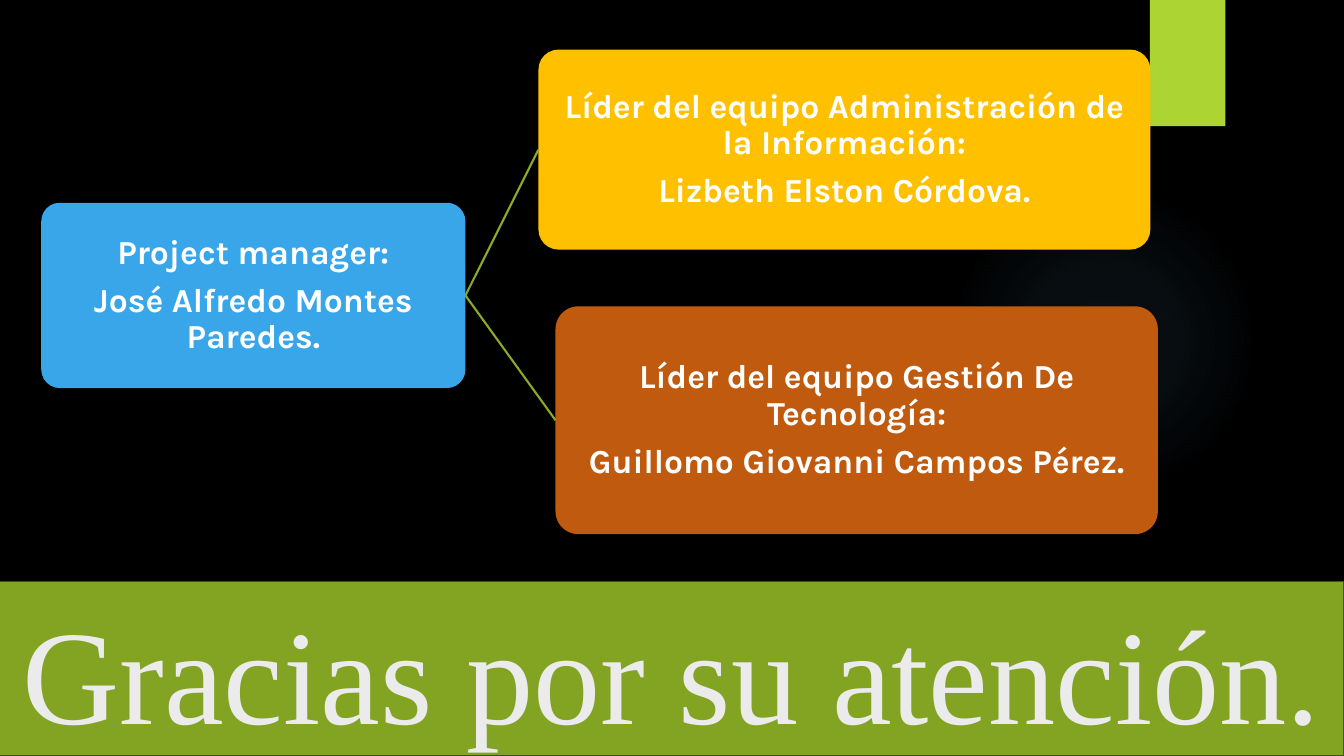
from dataclasses import dataclass

from lxml.etree import SubElement
from pptx import Presentation
from pptx.dml.color import RGBColor
from pptx.enum.shapes import MSO_CONNECTOR, MSO_SHAPE
from pptx.enum.text import MSO_ANCHOR, PP_ALIGN
from pptx.oxml import parse_xml
from pptx.oxml.ns import nsdecls, qn
from pptx.shapes.autoshape import Shape
from pptx.slide import Slide
from pptx.util import Cm, Pt

RIGHT_SIDE, LEFT_SIDE = 3, 1
GLOW_COLOR = "7AC4F0"
GLOW_STOPS = ((0, 7), (36, 6), (69, 0))  # position and opacity, in percent


@dataclass(frozen=True)
class Box:
    left: float
    top: float
    width: float
    height: float


@dataclass(frozen=True)
class Member:
    box: Box
    fill: str
    role: str
    person: str
    shadow: bool = False


MANAGER = Member(Box(1.04, 5.11, 10.69, 4.67), "38A6E9",
                 "Project manager:", "José Alfredo Montes Paredes.", shadow=True)
LEADERS = (
    Member(Box(13.57, 1.25, 15.42, 5.04), "FFC000",
           "Líder del equipo Administración de la Información:", "Lizbeth Elston Córdova."),
    Member(Box(14.0, 7.72, 15.18, 5.74), "C05A0E",
           "Líder del equipo Gestión De Tecnología:", "Guillomo Giovanni Campos Pérez."),
)
MEMBER_FONT = {"name": "Karla", "size": Pt(24), "bold": True}
TITLE_FONT = {"name": "Times New Roman", "size": Pt(96)}
MEMBER_FRAME = {"word_wrap": True, "vertical_anchor": MSO_ANCHOR.MIDDLE,
                "margin_left": Cm(0.06), "margin_right": Cm(0.06),
                "margin_top": Cm(0.06), "margin_bottom": Cm(0.06)}
TITLE_FRAME = {"word_wrap": True, "vertical_anchor": MSO_ANCHOR.BOTTOM}
MEMBER_PARAGRAPH = {"alignment": PP_ALIGN.CENTER, "line_spacing": 0.9, "space_after": Pt(8.4)}
TITLE_PARAGRAPH = {"alignment": PP_ALIGN.CENTER}


def color(value: str) -> RGBColor:
    return RGBColor.from_string(value)


def set_attributes(target: object, values: dict) -> None:
    for name, value in values.items():
        setattr(target, name, value)


def add_box(slide: Slide, kind: MSO_SHAPE, box: Box, fill: str) -> Shape:
    shape = slide.shapes.add_shape(
        kind, Cm(box.left), Cm(box.top), Cm(box.width), Cm(box.height))
    shape.shadow.inherit = False
    shape.fill.solid()
    shape.fill.fore_color.rgb = color(fill)
    shape.line.fill.background()
    return shape


def add_shadow(shape: Shape) -> None:
    effects = shape.element.spPr.find(qn("a:effectLst"))
    effects.append(parse_xml(
        f'<a:outerShdw {nsdecls("a")} blurRad="{Pt(3)}" dist="{Pt(2)}" dir="5400000" '
        'rotWithShape="0"><a:srgbClr val="000000"><a:alpha val="45000"/></a:srgbClr>'
        '</a:outerShdw>'))


def add_glow(slide: Slide, box: Box) -> None:
    """Add a circle whose faint colour fades out from the centre."""
    shape = add_box(slide, MSO_SHAPE.OVAL, box, GLOW_COLOR)
    stops = "".join(
        f'<a:gs pos="{position * 1000}"><a:srgbClr val="{GLOW_COLOR}">'
        f'<a:alpha val="{opacity * 1000}"/></a:srgbClr></a:gs>'
        for position, opacity in GLOW_STOPS)
    properties = shape.element.spPr
    properties.replace(properties.find(qn("a:solidFill")), parse_xml(
        f'<a:gradFill {nsdecls("a")}><a:gsLst>{stops}</a:gsLst><a:path path="circle">'
        '<a:fillToRect l="50000" t="50000" r="50000" b="50000"/></a:path></a:gradFill>'))


def write(shape: Shape, lines: tuple[str, ...], font: dict, text_color: str,
          frame_format: dict, paragraph_format: dict) -> None:
    frame = shape.text_frame
    set_attributes(frame, frame_format)
    frame.text = "\n".join(lines)
    for paragraph in frame.paragraphs:
        set_attributes(paragraph, paragraph_format)
        for run in paragraph.runs:
            set_attributes(run.font, font)
            run.font.color.rgb = color(text_color)


def add_member(slide: Slide, member: Member) -> Shape:
    shape = add_box(slide, MSO_SHAPE.ROUNDED_RECTANGLE, member.box, member.fill)
    shape.adjustments[0] = 0.1
    if member.shadow:
        add_shadow(shape)
    write(shape, (member.role, member.person), MEMBER_FONT, "FFFFFF",
          MEMBER_FRAME, MEMBER_PARAGRAPH)
    return shape


def join(slide: Slide, manager: Shape, leader: Shape) -> None:
    connector = slide.shapes.add_connector(MSO_CONNECTOR.STRAIGHT, 0, 0, 0, 0)
    connector.begin_connect(manager, RIGHT_SIDE)
    connector.end_connect(leader, LEFT_SIDE)
    connector.line.width = Pt(1.5)
    connector.line.color.rgb = color("8AAA29")
    SubElement(connector.element.spPr, qn("a:effectLst"))


def add_title(slide: Slide) -> None:
    banner = add_box(slide, MSO_SHAPE.RECTANGLE, Box(0, 14.66, 33.87, 4.39), "83A322")
    banner.line.color.rgb = color("0E5580")
    banner.line.width = Pt(0.75)
    write(banner, ("Gracias por su atención.",), TITLE_FONT, "EBEBEB",
          TITLE_FRAME, TITLE_PARAGRAPH)


def main() -> None:
    presentation = Presentation()
    presentation.slide_width, presentation.slide_height = Cm(33.87), Cm(19.05)
    slide = presentation.slides.add_slide(presentation.slide_layouts[6])
    slide.background.fill.solid()
    slide.background.fill.fore_color.rgb = color("000000")

    add_glow(slide, Box(23.9, 4.65, 7.82, 7.82))
    add_shadow(add_box(slide, MSO_SHAPE.RECTANGLE, Box(28.98, 0, 1.9, 3.18), "ACD433"))
    add_title(slide)
    manager = add_member(slide, MANAGER)
    for leader in LEADERS:
        join(slide, manager, add_member(slide, leader))
    presentation.save("out.pptx")


if __name__ == "__main__":
    main()
